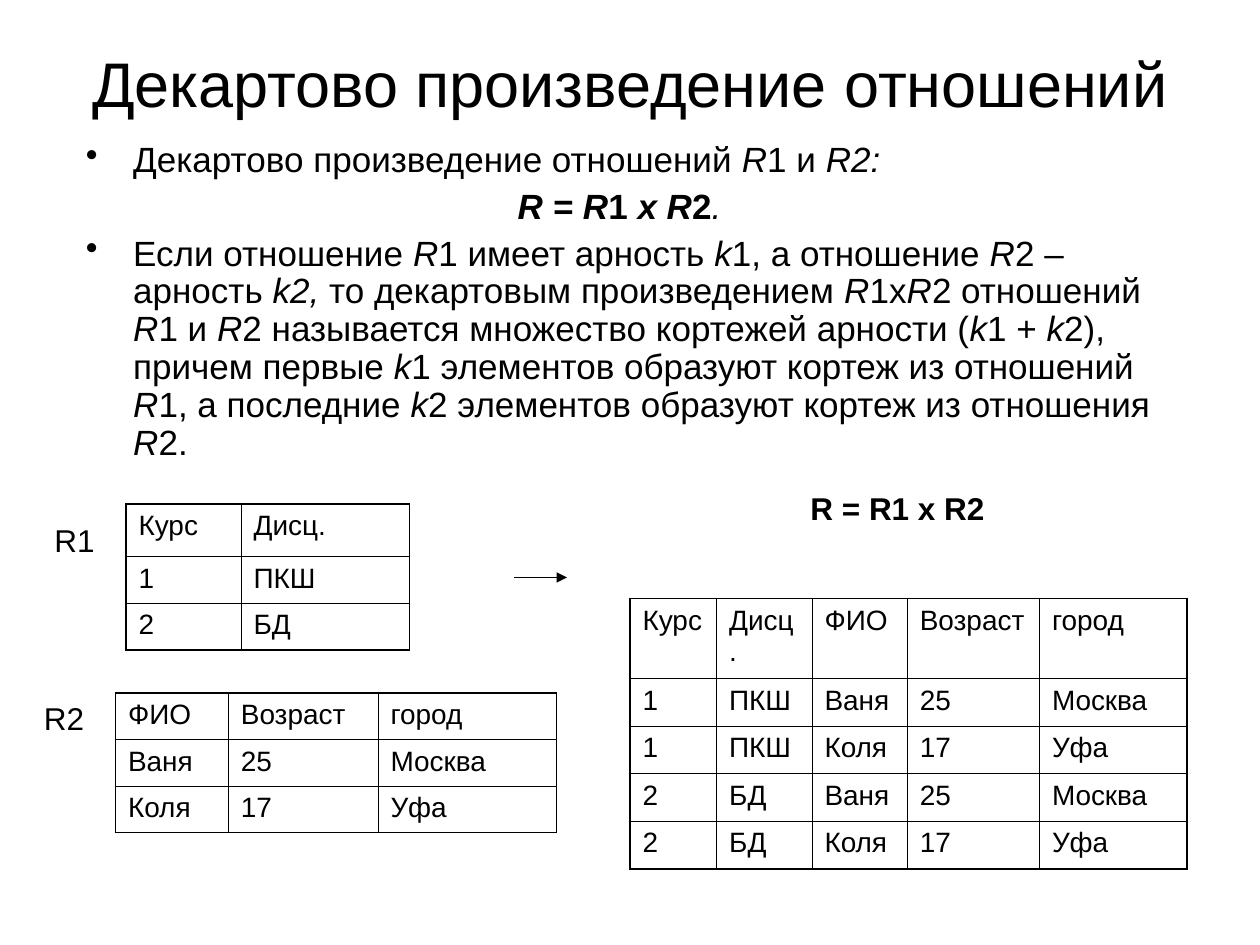
import pptx
import pptx.util
import pptx.dml.color
import pptx.enum.shapes
import pptx.enum.text
import pptx.oxml
import pptx.oxml.ns

Pt = pptx.util.Pt
BLACK = pptx.dml.color.RGBColor(0, 0, 0)
FONT = "Arial"
THICK, THIN = 1.08, 0.45

TITLE = "Декартово произведение отношений"
# "*" switches italic, "#" switches bold
BODY = [
    ("Декартово произведение отношений *R*1 и *R2:*", True),
    ("#*R = R*1* х R*2#*.*", False),
    ("Если отношение *R*1 имеет арность *k*1, а отношение *R*2 – арность *k2, *"
     "то декартовым произведением *R*1х*R*2 отношений *R*1 и *R*2 называется "
     "множество кортежей арности (*k*1 + *k*2), причем первые *k*1 элементов "
     "образуют кортеж из отношений *R*1, а последние *k*2 элементов образуют "
     "кортеж из отношения *R*2.", True),
]

COURSES = [("Курс", "Дисц."), ("1", "ПКШ"), ("2", "БД")]
PEOPLE = [("ФИО", "Возраст", "город"), ("Ваня", "25", "Москва"),
          ("Коля", "17", "Уфа")]
PRODUCT = [COURSES[0] + PEOPLE[0]] + [
    c + p for c in COURSES[1:] for p in PEOPLE[1:]]

# rows, left, top, column widths, header height, row height
TABLES = [
    (PEOPLE, 66, 396, (64.5, 85.5, 102), 26.6, 26.6),
    (PRODUCT, 360, 342, (49.5, 54.5, 54.5, 75.5, 84.25), 45.8, 27.2),
    (COURSES, 72, 288, (65.75, 96.25), 30.2, 26.6),
]
# text, left, top, width, bold
LABELS = [
    ("R1", 24, 294, 48, False),
    ("R2", 18, 396, 48, False),
    ("R = R1 x R2", 456, 276, 126, True),
]


def style(run, size, bold=False, italic=False):
    font = run.font
    font.name, font.size = FONT, Pt(size)
    font.bold, font.italic = bold, italic
    font.color.rgb = BLACK


def add_text(slide, left, top, width, height):
    frame = slide.shapes.add_textbox(
        Pt(left), Pt(top), Pt(width), Pt(height)).text_frame
    frame.word_wrap = True
    return frame


def add_title(slide):
    frame = add_text(slide, 36, 21.6, 648, 50.4)
    frame.vertical_anchor = pptx.enum.text.MSO_ANCHOR.MIDDLE
    frame.text = TITLE
    par = frame.paragraphs[0]
    par.alignment = pptx.enum.text.PP_ALIGN.CENTER
    style(par.runs[0], 36)


def add_runs(par, marked):
    for b, chunk in enumerate(marked.split("#")):
        for i, part in enumerate(chunk.split("*")):
            if part:
                run = par.add_run()
                run.text = part
                style(run, 20, b % 2 == 1, i % 2 == 1)


def add_body(slide):
    frame = add_text(slide, 42, 78, 624, 192)
    for n, (marked, bullet) in enumerate(BODY):
        par = frame.add_paragraph() if n else frame.paragraphs[0]
        par.line_spacing = 0.9
        par.space_before = Pt(5)
        props = par._p.get_or_add_pPr()
        props.set("marL", str(Pt(27)))
        props.set("indent", str(-Pt(27)))
        if bullet:
            mark = pptx.oxml.ns.qn("a:buChar")
            props.makeelement(mark)
            item = props.makeelement(mark, {"char": "•"})
            props.append(item)
        else:
            par.alignment = pptx.enum.text.PP_ALIGN.CENTER
        add_runs(par, marked)


def add_border(cell, side, width):
    cell._tc.get_or_add_tcPr().append(pptx.oxml.parse_xml(
        f'<a:{side} {pptx.oxml.ns.nsdecls("a")} w="{Pt(width)}">'
        f'<a:solidFill><a:srgbClr val="{BLACK}"/></a:solidFill></a:{side}>'))


def add_grid(slide, rows, left, top, widths, head, step):
    """Add a table with a thick outer frame and thin inner lines."""
    high, wide = len(rows), len(widths)
    table = slide.shapes.add_table(
        high, wide, Pt(left), Pt(top), Pt(sum(widths)),
        Pt(head + step * (high - 1))).table
    table.first_row = table.horz_banding = False
    for col, width in zip(table.columns, widths):
        col.width = Pt(width)
    for r, row in enumerate(rows):
        table.rows[r].height = Pt(step if r else head)
        for c, text in enumerate(row):
            cell = table.cell(r, c)
            cell.text = text
            par = cell.text_frame.paragraphs[0]
            par.space_before = Pt(4)
            style(par.runs[0], 16)
            edges = {"lnL": c == 0, "lnR": c == wide - 1,
                     "lnT": r == 0, "lnB": r == high - 1}
            for side, outer in edges.items():
                add_border(cell, side, THICK if outer else THIN)
            cell.fill.background()


def add_arrow(slide):
    arrow = slide.shapes.add_connector(
        pptx.enum.shapes.MSO_CONNECTOR.STRAIGHT,
        Pt(294), Pt(330), Pt(324), Pt(330))
    arrow.line.color.rgb = BLACK
    arrow.line.width = Pt(0.75)
    space = pptx.oxml.ns.nsdecls("a")
    arrow.line._get_or_add_ln().append(
        pptx.oxml.parse_xml(f'<a:tailEnd {space} type="triangle"/>'))
    arrow._element.spPr.append(
        pptx.oxml.parse_xml(f"<a:effectLst {space}/>"))


def add_label(slide, text, left, top, width, bold):
    frame = add_text(slide, left, top, width, 28.8)
    frame.auto_size = pptx.enum.text.MSO_AUTO_SIZE.SHAPE_TO_FIT_TEXT
    frame.text = text
    par = frame.paragraphs[0]
    par.space_before = Pt(11.2)
    style(par.runs[0], 18, bold)


def main():
    deck = pptx.Presentation()
    deck.slide_width, deck.slide_height = Pt(720), Pt(540)
    slide = deck.slides.add_slide(deck.slide_layouts[6])
    add_title(slide)
    add_body(slide)
    for grid in TABLES:
        add_grid(slide, *grid)
    add_arrow(slide)
    for label in LABELS:
        add_label(slide, *label)
    deck.save("out.pptx")


if __name__ == "__main__":
    main()
